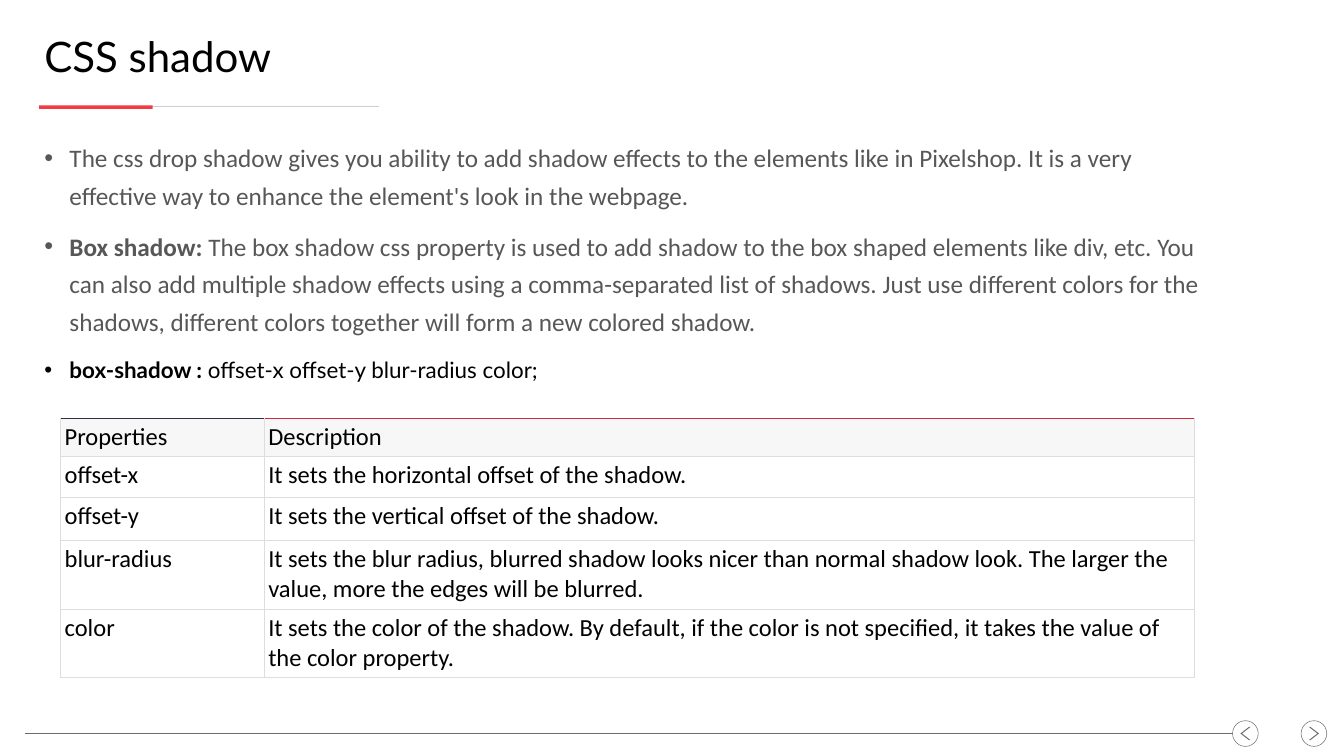
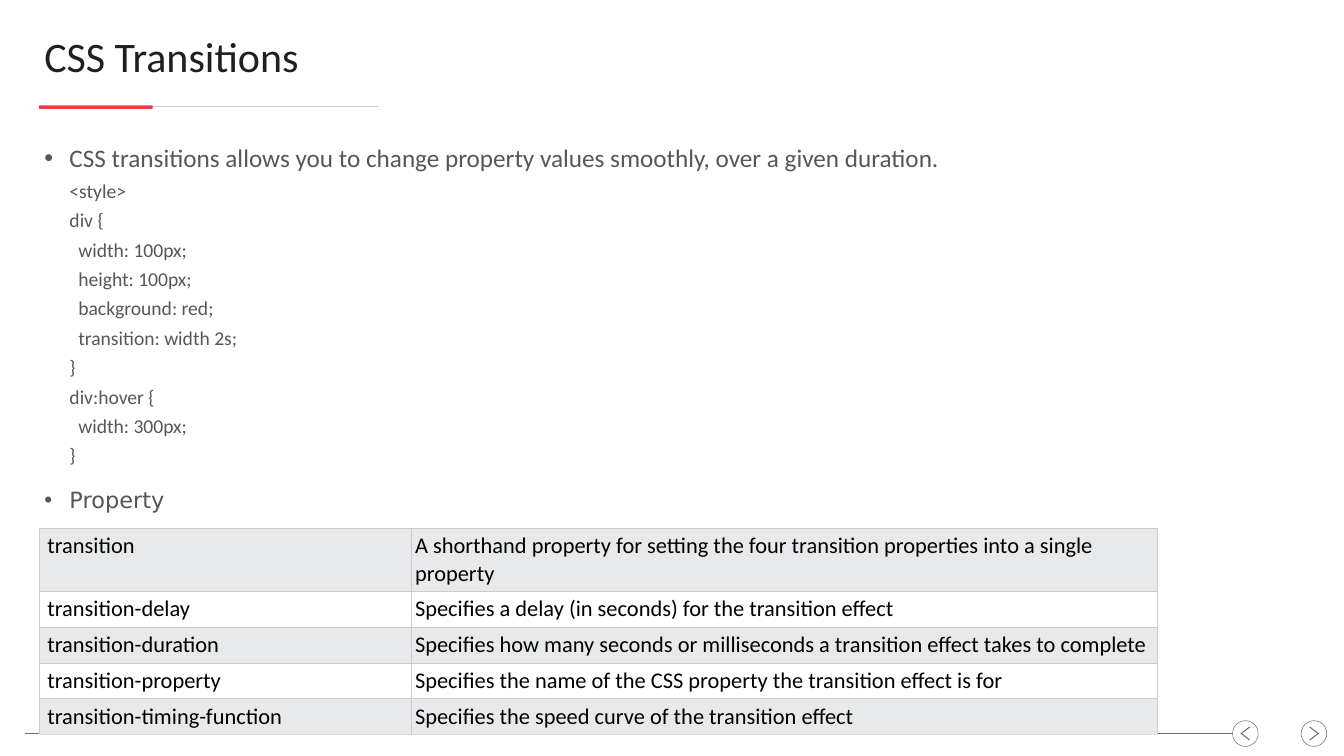
from copy import deepcopy
from lxml.etree import SubElement as Sub
from pptx import Presentation
from pptx.dml.color import RGBColor
from pptx.enum.shapes import MSO_CONNECTOR as Conn, MSO_SHAPE as Kind
from pptx.enum.text import MSO_ANCHOR as Anchor, MSO_AUTO_SIZE as Fit, PP_ALIGN as Align
from pptx.oxml.ns import qn
from pptx.util import Inches, Pt

WIDE, HIGH = Inches(26.67), Inches(15)
BLACK, WHITE, GREY, RED = "000000", "FFFFFF", "6C6C6C", "F23A43"
BODY, SILVER, PALE = "575757", "CBD0D7", "DDDDDD"
SANS, HEAD = "Calibri", "Lato"
LEFT, RING, FOOT = 2.92, 91.71, 97.03


def hue(code):
    return RGBColor.from_string(code)


def at(*nums):
    """Turn percentages, across and down in turn, into slide lengths."""
    return [int(n * (HIGH if i % 2 else WIDE) / 100) for i, n in enumerate(nums)]


CODE = """<style>
div {
  width: 100px;
  height: 100px;
  background: red;
  transition: width 2s;
}
div:hover {
  width: 300px;
}"""

# Each run is text, size, font, colour, bold.
pages = [
    {
        "title": ("CSS shadow", 60, HEAD, BLACK, False),
        "body": [
            [("The css drop shadow gives you ability to add shadow effects to the "
              "elements like in Pixelshop. It is a very effective way to enhance the "
              "element's look in the webpage.", 36, SANS, BODY, False)],
            [("Box shadow: ", 36, SANS, BODY, True),
             ("The box shadow css property is used to add shadow to the box shaped "
              "elements like div, etc. You can also add multiple shadow effects using a "
              "comma-separated list of shadows. Just use different colors for the "
              "shadows, different colors together will form a new colored shadow.",
              36, SANS, BODY, False)],
            [("box-shadow : ", 32, HEAD, BLACK, True),
             ("offset-x offset-y blur-radius color;", 32, HEAD, BLACK, False)],
        ],
        "spot": (4.5, 55.27),
        "cols": (15.15, 69.22),
        "rows": (5, 5.4, 5.73, 9.07, 9),
        "fills": ("F7F7F7", WHITE, WHITE, WHITE, WHITE),
        "edge": PALE,
        "tops": ("302F40", "D02940"),
        "size": 35,
        "inset": 6,
        "first": Anchor.BOTTOM,
        "cells": [
            ("Properties", "Description"),
            ("offset-x", "It sets the horizontal offset of the shadow."),
            ("offset-y", "It sets the vertical offset of the shadow."),
            ("blur-radius", "It sets the blur radius, blurred shadow looks nicer than "
             "normal shadow look. The larger the value, more the edges will be blurred."),
            ("color", "It sets the color of the shadow. By default, if the color is not "
             "specified, it takes the value of the color property."),
        ],
    },
    {
        "title": ("CSS Transitions", 60, SANS, "1F1F1F", False),
        "body": [
            [("CSS transitions allows you to change property values smoothly, over a "
              "given duration.\n", 36, SANS, BODY, False),
             (CODE, 28, SANS, BODY, False)],
            [("Property", 32, "DejaVu Sans", "555555", False)],
        ],
        "spot": (2.9, 69.87),
        "cols": (27.67, 55.57),
        "rows": (8.3, 4.73, 4.73, 4.73, 4.73),
        "fills": ("E7E9EB", WHITE, "E7E9EB", WHITE, "E7E9EB"),
        "edge": "CCCCCC",
        "tops": ("CCCCCC", "CCCCCC"),
        "size": 32,
        "inset": 12,
        "first": Anchor.TOP,
        "cells": [
            ("transition", "A shorthand property for setting the four transition "
             "properties into a single property"),
            ("transition-delay", "Specifies a delay (in seconds) for the transition effect"),
            ("transition-duration", "Specifies how many seconds or milliseconds a "
             "transition effect takes to complete"),
            ("transition-property", "Specifies the name of the CSS property the "
             "transition effect is for"),
            ("transition-timing-function", "Specifies the speed curve of the "
             "transition effect"),
        ],
    },
]

deck = Presentation()
deck.slide_width, deck.slide_height = WIDE, HIGH

for page in pages:
    slide = deck.slides.add_slide(deck.slide_layouts[1])
    shapes = slide.shapes

    # Title rule and footer line
    for x, y, end, tint, wide in ((LEFT, 14.13, 28.2, SILVER, 1.5),
                                  (1.84, FOOT, RING, GREY, 0.75)):
        rule = shapes.add_connector(Conn.STRAIGHT, *at(x, y, end, y))
        rule.line.color.rgb = hue(tint)
        rule.line.width = Pt(wide)
        Sub(rule._element.spPr, qn("a:effectLst"))

    accent = shapes.add_shape(Kind.RECTANGLE, *at(LEFT, 13.93, 8.44, 0.47))
    accent.shadow.inherit = False
    accent.fill.solid()
    accent.fill.fore_color.rgb = hue(RED)
    accent.line.fill.background()

    # Back and next buttons
    for x, turn in ((RING, 180), (96.81, 0)):
        button = shapes.add_group_shape().shapes
        ring = button.add_shape(Kind.OVAL, *at(x, FOOT - 1.7, 1.91, 3.4))
        ring.shadow.inherit = False
        ring.fill.background()
        ring.line.color.rgb = hue(GREY)
        ring.line.width = Pt(0.75)
        arrow = button.add_shape(Kind.CHEVRON, *at(x + 0.58, FOOT - 0.87, 0.75, 1.73))
        arrow.shadow.inherit = False
        arrow.adjustments[0] = 0.84
        arrow.rotation = turn
        arrow.fill.solid()
        arrow.fill.fore_color.rgb = hue(GREY)
        arrow.line.fill.background()

    # Title and list
    title, body = shapes.title, slide.placeholders[1]
    for holder, place, anchor, paras in (
            (title, (LEFT, 3.93, 93.93, 6.93), Anchor.MIDDLE, [[page["title"]]]),
            (body, (LEFT, 17.53, 87.48, 72.53), Anchor.TOP, page["body"])):
        holder.left, holder.top, holder.width, holder.height = at(*place)
        frame = holder.text_frame
        frame.word_wrap = True
        frame.auto_size = Fit.NONE
        frame.vertical_anchor = anchor
        for n, runs in enumerate(paras):
            para = frame.add_paragraph() if n else frame.paragraphs[0]
            para.alignment = Align.LEFT
            para.space_before = Pt(6 if n else 0)
            para.space_after = Pt(12)
            if holder is body:
                para.line_spacing = 1.25
                props = para._p.get_or_add_pPr()
                props.set("marL", str(Inches(0.5)))
                props.set("indent", str(-Inches(0.5)))
                Sub(props, qn("a:buFont"), typeface="Arial")
                Sub(props, qn("a:buChar"), char="•")
            for text, size, face, tint, bold in runs:
                for k, line in enumerate(text.split("\n")):
                    if k:
                        para.add_line_break()
                        para._p[-1].append(deepcopy(run._r.rPr))
                    if line:
                        run = para.add_run()
                        run.text = line
                        run.font.size = Pt(size)
                        run.font.name = face
                        run.font.bold = bold
                        run.font.color.rgb = hue(tint)

    # Property table
    cells, cols, rows = page["cells"], page["cols"], page["rows"]
    grid = shapes.add_table(len(rows), len(cols),
                            *at(*page["spot"], sum(cols), sum(rows))).table
    grid.first_row = grid.horz_banding = False
    for c, wide in enumerate(cols):
        grid.columns[c].width = at(wide)[0]
    for r, high in enumerate(rows):
        grid.rows[r].height = at(0, high)[1]
        for c, text in enumerate(cells[r]):
            cell = grid.cell(r, c)
            cell.margin_top = cell.margin_bottom = cell.margin_right = Pt(6)
            cell.margin_left = Pt(6 if c else page["inset"])
            cell.vertical_anchor = Anchor.TOP if r else page["first"]
            edge = page["edge"]
            top = edge if r else page["tops"][c]
            base = PALE if r == len(rows) - 1 else edge
            for side, tint in zip("LRTB", (edge, edge, top, base)):
                line = Sub(cell._tc.get_or_add_tcPr(), qn("a:ln" + side), w=str(Pt(0.75)))
                Sub(Sub(line, qn("a:solidFill")), qn("a:srgbClr"), val=tint)
            cell.fill.solid()
            cell.fill.fore_color.rgb = hue(page["fills"][r])
            run = cell.text_frame.paragraphs[0].add_run()
            run.text = text
            run.font.size = Pt(page["size"])
            run.font.name = SANS
            run.font.color.rgb = hue(BLACK)

deck.save("out.pptx")
